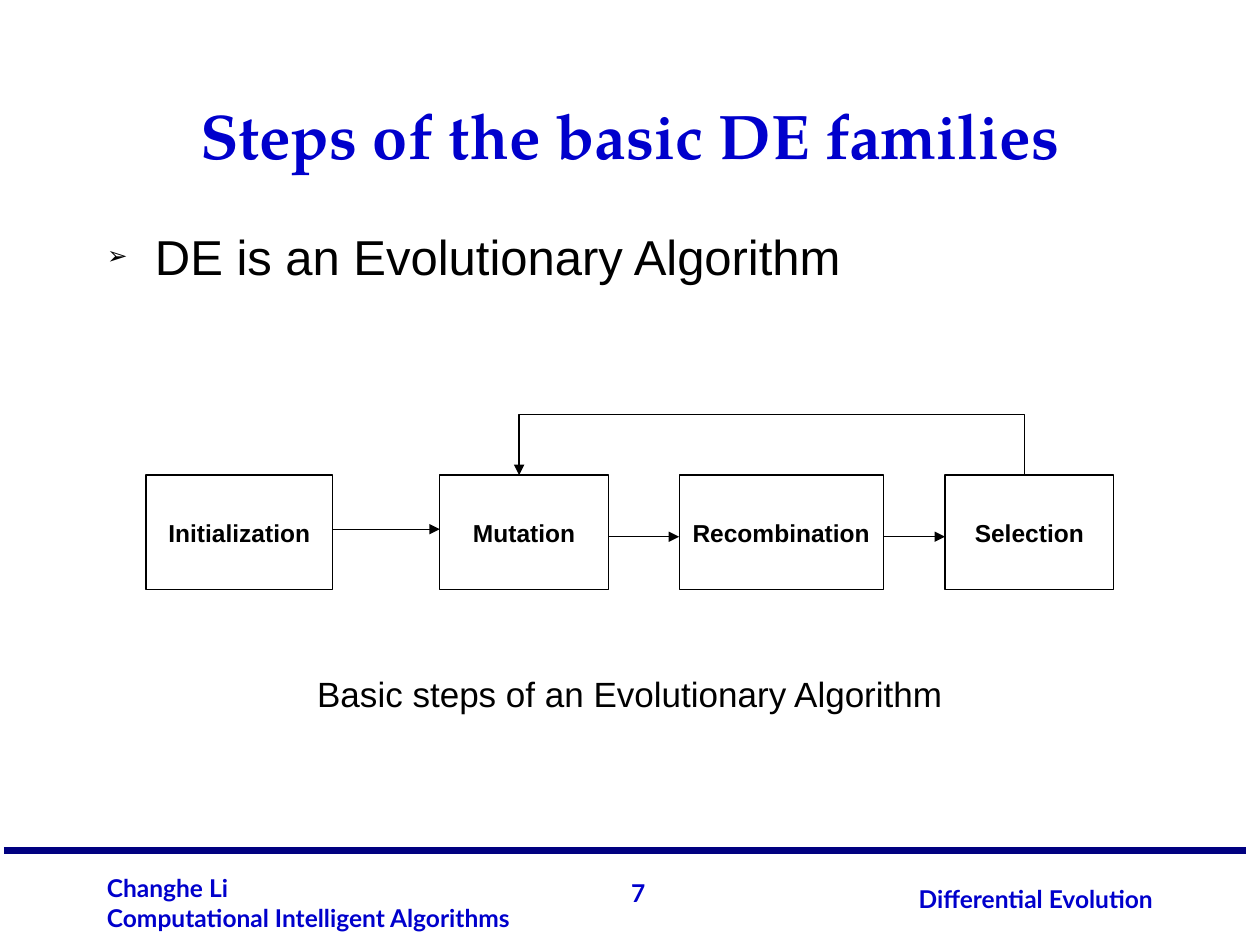
from lxml import etree
from pptx import Presentation
from pptx.dml.color import RGBColor
from pptx.enum.shapes import MSO_CONNECTOR, MSO_SHAPE
from pptx.enum.text import MSO_ANCHOR, MSO_AUTO_SIZE, PP_ALIGN
from pptx.oxml.ns import qn
from pptx.util import Inches, Pt

LEFT, MID, RIGHT = PP_ALIGN.LEFT, PP_ALIGN.CENTER, PP_ALIGN.RIGHT
CENTER, BOTTOM, TOP = MSO_ANCHOR.MIDDLE, MSO_ANCHOR.BOTTOM, MSO_ANCHOR.TOP
RECT, LINE = MSO_SHAPE.RECTANGLE, MSO_CONNECTOR.STRAIGHT
NONE = MSO_AUTO_SIZE.NONE
COLORS = {"blue": "0000CC", "navy": "000080", "black": "000000", "white": "FFFFFF"}
RGB = {name: RGBColor.from_string(code) for name, code in COLORS.items()}


def write(shape, lines, sizes, font, color, bold, align, anchor):
    frame = shape.text_frame
    frame.text = "\n".join(lines)
    frame.word_wrap = True
    frame.auto_size = NONE
    frame.vertical_anchor = anchor
    for para, size in zip(frame.paragraphs, sizes):
        para.alignment = align
        for run in para.runs:
            run.font.size = Pt(size)
            run.font.name = font
            run.font.bold = bold
            run.font.color.rgb = RGB[color]


def stroke(shape, color, width, arrow):
    shape.line.color.rgb = RGB[color]
    shape.line.width = Pt(width)
    props = shape._element.spPr
    if props.find(qn("a:effectLst")) is None:
        etree.SubElement(props, qn("a:effectLst"))
    if arrow:
        etree.SubElement(props.find(qn("a:ln")), qn("a:tailEnd"), type="triangle")


deck = Presentation()
deck.slide_width, deck.slide_height = Inches(10), Inches(7.5)
slide = deck.slides.add_slide(deck.slide_layouts[1])
shapes = slide.shapes

title = shapes.title
title.left, title.top = Inches(0.75), Inches(0.25)
title.width, title.height = Inches(8.5), Inches(1.17)
write(title, ["Steps of the basic DE families"], [36], "TeX Gyre Pagella", "blue", True, MID, BOTTOM)

body = slide.placeholders[1]
body.left, body.top = Inches(0.75), Inches(1.75)
body.width, body.height = Inches(8.5), Inches(4.83)
write(body, ["DE is an Evolutionary Algorithm", "Basic steps of an Evolutionary Algorithm"],
      [28, 20], "Arial", "black", False, LEFT, TOP)
point, caption = body.text_frame.paragraphs
point.space_before = Pt(3)
caption.space_before = Pt(221)
caption.alignment = MID

props = point._p.get_or_add_pPr()
props.set("marL", str(Inches(0.38)))
props.set("indent", str(Inches(-0.38)))
tint = etree.SubElement(props, qn("a:buClr"))
etree.SubElement(tint, qn("a:srgbClr"), val=COLORS["black"])
etree.SubElement(props, qn("a:buSzPct"), val="50000")
etree.SubElement(props, qn("a:buChar"), char="➢")
props = caption._p.get_or_add_pPr()
props.set("marL", "0")
props.set("indent", "0")
etree.SubElement(props, qn("a:buNone"))

footer = [
    (["7"], 4.79, 6.92, 0.43, 0.33, RIGHT),
    (["Changhe Li", "Computational Intelligent Algorithms"], 0.75, 6.88, 3.75, 0.57, LEFT),
    (["Differential Evolution"], 5.92, 6.97, 3.33, 0.33, RIGHT),
]
for lines, left, top, width, height, align in footer:
    box = shapes.add_textbox(Inches(left), Inches(top), Inches(width), Inches(height))
    write(box, lines, [14] * len(lines), "Lato", "blue", True, align, CENTER)

rule = shapes.add_connector(LINE, Inches(0.03), Inches(6.75), Inches(9.89), Inches(6.75))
stroke(rule, "navy", 4.5, False)

steps = [
    ("Initialization", 1.16, 1.48),
    ("Mutation", 3.49, 1.34),
    ("Recombination", 5.39, 1.62),
    ("Selection", 7.5, 1.34),
]
for name, left, width in steps:
    box = shapes.add_shape(RECT, Inches(left), Inches(3.77), Inches(width), Inches(0.91))
    box.shadow.inherit = False
    box.fill.solid()
    box.fill.fore_color.rgb = RGB["white"]
    stroke(box, "black", 0.75, False)
    write(box, [name], [14], "Arial", "black", True, MID, CENTER)
    box.text_frame.margin_left = box.text_frame.margin_right = 0

for step, after, level in zip(steps, steps[1:], [4.2, 4.26, 4.26]):
    start = step[1] + step[2]
    arrow = shapes.add_connector(LINE, Inches(start), Inches(level), Inches(after[1]), Inches(level))
    stroke(arrow, "black", 0.75, True)

path = shapes.build_freeform(Inches(8.13), Inches(3.77))
path.add_line_segments(
    [(Inches(x), Inches(y)) for x, y in [(8.13, 3.29), (4.12, 3.29), (4.12, 3.77)]], close=False)
loop = path.convert_to_shape()
loop.shadow.inherit = False
loop.fill.background()
stroke(loop, "black", 0.75, True)

deck.save("out.pptx")
